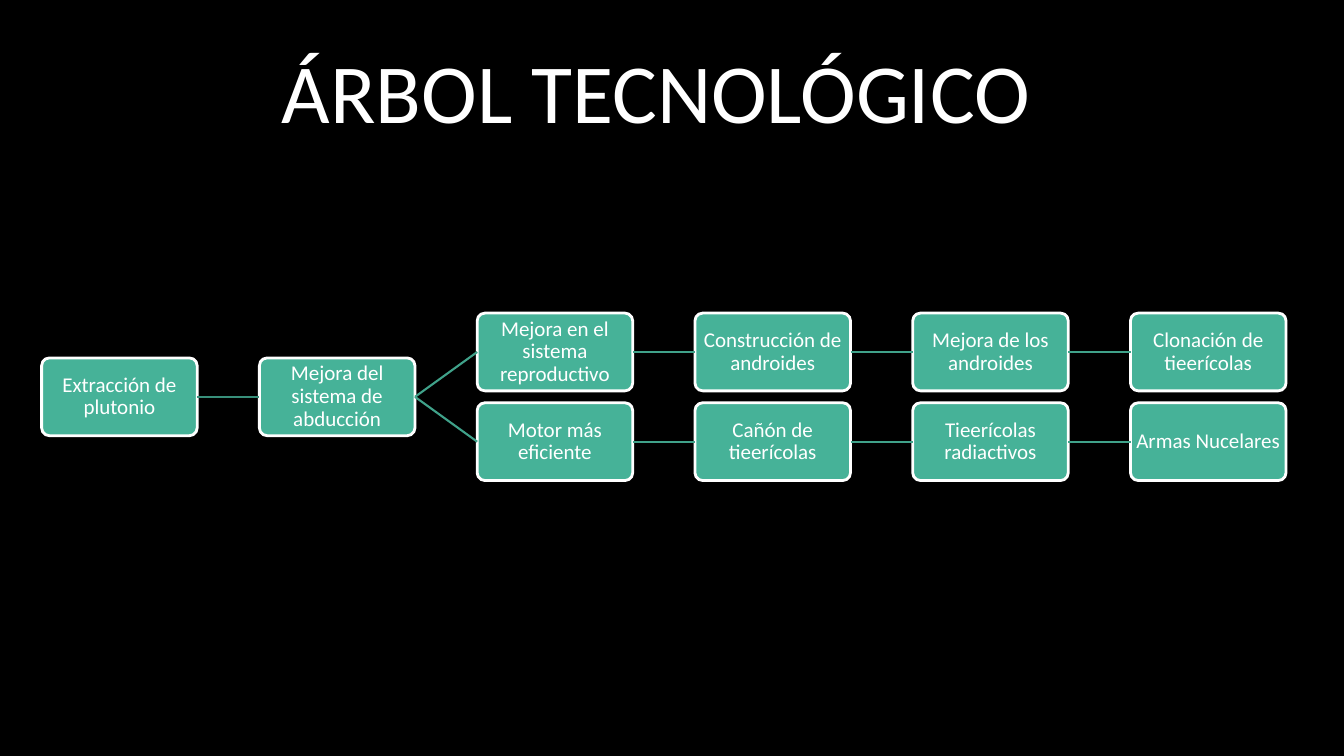
from dataclasses import dataclass

from lxml import etree
from pptx import Presentation
from pptx.dml.color import RGBColor
from pptx.enum.shapes import MSO_CONNECTOR, MSO_SHAPE
from pptx.enum.text import MSO_ANCHOR, MSO_AUTO_SIZE, PP_ALIGN
from pptx.oxml.ns import qn
from pptx.util import Cm, Pt

ROUND = MSO_SHAPE.ROUNDED_RECTANGLE
STRAIGHT = MSO_CONNECTOR.STRAIGHT
MIDDLE = MSO_ANCHOR.MIDDLE
CENTER = PP_ALIGN.CENTER
NO_FIT = MSO_AUTO_SIZE.NONE
TITLE_ONLY = 5
LEFT, RIGHT = 1, 3  # connection sites of a box


@dataclass(frozen=True)
class Theme:
    font: str = "Calibri"
    back: RGBColor = RGBColor(0, 0, 0)
    text: RGBColor = RGBColor(255, 255, 255)
    node: RGBColor = RGBColor.from_string("46B298")
    trunk: RGBColor = RGBColor.from_string("388F7A")
    branch: RGBColor = RGBColor.from_string("40A28A")
    title_size: Pt = Pt(60)
    node_size: Pt = Pt(15)
    edge: Pt = Pt(2)
    link: Pt = Pt(1.5)


THEME = Theme()
ROOTS = ["Extracción de plutonio", "Mejora del sistema de abducción"]
BRANCHES = [
    ["Mejora en el sistema reproductivo", "Construcción de androides",
     "Mejora de los androides", "Clonación de tieerícolas"],
    ["Motor más eficiente", "Cañón de tieerícolas",
     "Tieerícolas radiactivos", "Armas Nucelares"],
]


def write(shape, text, size):
    frame = shape.text_frame
    frame.text = text
    frame.word_wrap = True
    frame.auto_size = NO_FIT
    frame.vertical_anchor = MIDDLE
    para = frame.paragraphs[0]
    para.alignment = CENTER
    para.line_spacing = 0.9
    font = para.runs[0].font
    font.name, font.size = THEME.font, size
    font.color.rgb = THEME.text


def add_title(slide, text, left, top, width, height):
    title = slide.shapes.title
    title.left, title.top = left, top
    title.width, title.height = width, height
    write(title, text, THEME.title_size)


def add_node(slide, text, left, top, width, height):
    node = slide.shapes.add_shape(ROUND, left, top, width, height)
    node.adjustments[0] = 0.1
    node.shadow.inherit = False
    node.fill.solid()
    node.fill.fore_color.rgb = THEME.node
    node.line.color.rgb = THEME.text
    node.line.width = THEME.edge
    frame = node.text_frame
    frame.margin_left = frame.margin_right = Cm(0.03)
    frame.margin_top = frame.margin_bottom = Cm(0.03)
    write(node, text, THEME.node_size)
    return node


def add_link(slide, start, end, color):
    link = slide.shapes.add_connector(STRAIGHT, 0, 0, 0, 0)
    link.begin_connect(start, RIGHT)
    link.end_connect(end, LEFT)
    link.line.color.rgb = color
    link.line.width = THEME.link
    props = link._element.find(qn("p:spPr"))
    etree.SubElement(props, qn("a:effectLst"))


def add_tree(slide, roots, branches, left, top, width, height):
    """Lay the roots on the middle line and each branch on its own row."""
    node_w, node_h = Cm(3.92), Cm(1.96)
    step_x = (width - node_w) // (len(roots) + len(branches[0]) - 1)
    step_y = (height - node_h) // (len(branches) - 1)

    def add_chain(names, col, row_top, last, color):
        for index, name in enumerate(names, col):
            node = add_node(slide, name, left + index * step_x, row_top,
                            node_w, node_h)
            if last is not None:
                add_link(slide, last, node, color)
            last = node
        return last

    fork = add_chain(roots, 0, top + (height - node_h) // 2, None, THEME.trunk)
    for row, names in enumerate(branches):
        add_chain(names, len(roots), top + row * step_y, fork, THEME.branch)


def main():
    deck = Presentation()
    deck.slide_width, deck.slide_height = Cm(33.87), Cm(19.05)
    slide = deck.slides.add_slide(deck.slide_layouts[TITLE_ONLY])
    slide.background.fill.solid()
    slide.background.fill.fore_color.rgb = THEME.back
    add_title(slide, "ÁRBOL TECNOLÓGICO",
              Cm(2.46), Cm(0.91), Cm(28.14), Cm(3.05))
    add_tree(slide, ROOTS, BRANCHES, Cm(1.05), Cm(7.89), Cm(31.36), Cm(4.22))
    deck.save("out.pptx")


if __name__ == "__main__":
    main()
